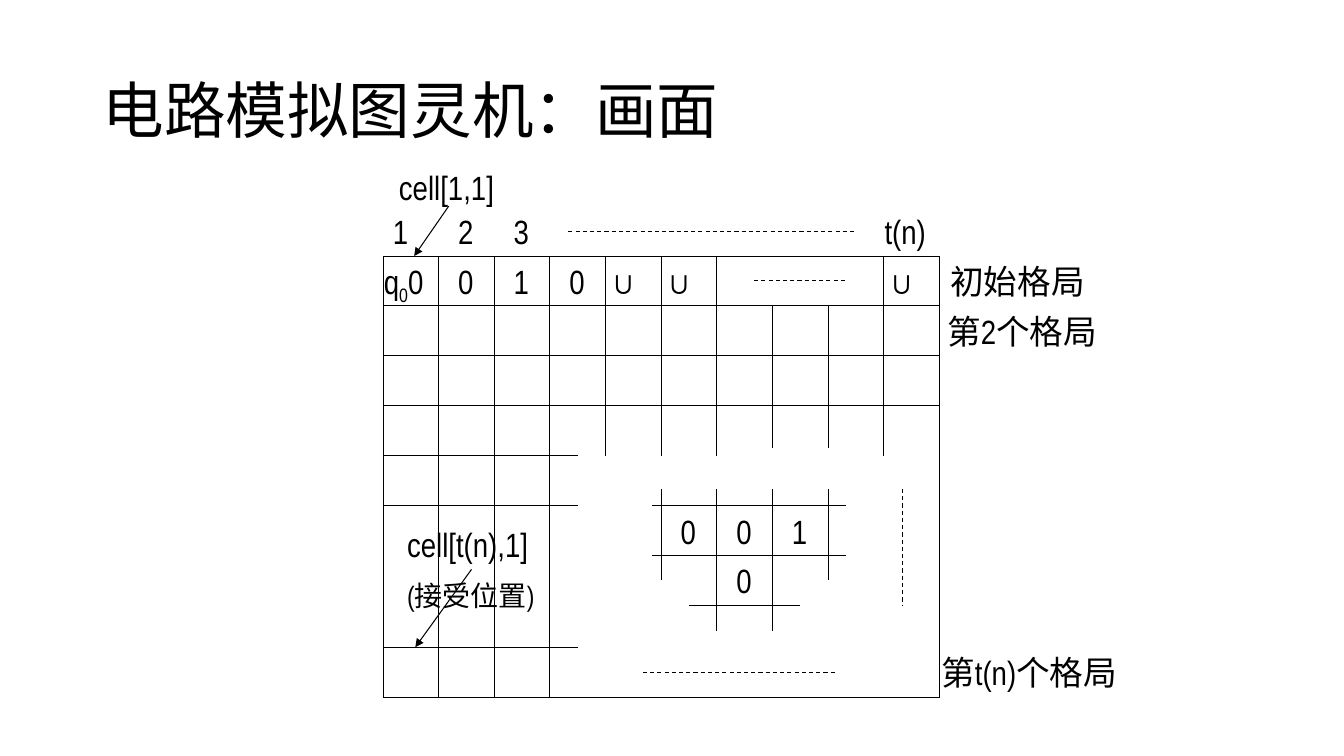
from lxml import etree
from pptx import Presentation
from pptx import util as u
from pptx.dml.color import RGBColor
from pptx.enum import dml, shapes, text
from pptx.oxml.ns import qn

LATIN, CHINESE = "Arial Narrow", "Noto Sans CJK SC"
INK = "000000"
GRID_LEFT, GRID_TOP = 273.6, 182.9
COLUMN, ROW = 39.74, 35.64
LAST_TOP, LAST_BOTTOM = 7.84, 8.85  # the final configuration, in row units
CELL_WIDTH, LABEL_HEIGHT, DIGIT_INDENT = 33.1, 36, 6.8


def colour(code):
    return RGBColor.from_string(code)


def grid_x(column):
    return GRID_LEFT + column * COLUMN


def grid_y(row):
    return GRID_TOP + row * ROW


def add_span(para, words, size, latin=LATIN, baseline=0):
    span = para.add_run()
    span.text = words
    for name, value in {"size": u.Pt(size), "name": latin}.items():
        setattr(span.font, name, value)
    span.font.color.rgb = colour(INK)
    properties = span.font._element
    etree.SubElement(properties, qn("a:ea")).set("typeface", CHINESE)
    if baseline:
        properties.set("baseline", str(baseline * 1000))


def add_box(page, left, top, width, height, anchor=text.MSO_ANCHOR.TOP):
    """Add an empty wrapping text box and return its first paragraph's frame."""
    box = page.shapes.add_textbox(*map(u.Pt, (left, top, width, height)))
    frame = box.text_frame
    settings = {"word_wrap": True, "auto_size": text.MSO_AUTO_SIZE.NONE,
                "vertical_anchor": anchor}
    for name, value in settings.items():
        setattr(frame, name, value)
    return frame


def add_label(page, words, left, top, width, height=LABEL_HEIGHT):
    frame = add_box(page, left, top, width, height)
    add_span(frame.paragraphs[0], words, 24)
    return frame


def add_cell(page, words, column, row, indent=0, width=CELL_WIDTH):
    add_label(page, words, grid_x(column) + indent, grid_y(row), width)


def add_line(page, start, end, dashed=False, arrow=False):
    """Draw a line between two (column, row) points of the grid."""
    ends = [u.Pt(place(value)) for point in (start, end)
            for place, value in zip((grid_x, grid_y), point)]
    line = page.shapes.add_connector(shapes.MSO_CONNECTOR.STRAIGHT, *ends)
    line.line.width = u.Pt(0.75)
    line.line.color.rgb = colour(INK)
    if dashed:
        line.line.dash_style = dml.MSO_LINE.DASH
    if arrow:
        tail = etree.SubElement(line.line._get_or_add_ln(), qn("a:tailEnd"))
        tail.set("type", "triangle")
    etree.SubElement(line._element.spPr, qn("a:effectLst"))


def add_title(page):
    frame = add_box(page, 66.2, 28.8, 828, 104.4, text.MSO_ANCHOR.MIDDLE)
    para = frame.paragraphs[0]
    para.line_spacing = 0.9
    add_span(para, "电路模拟图灵机：画面", 44, CHINESE)


def add_grid(page):
    verticals = [
        ((0, 1, 2, 3, 10), 0, LAST_BOTTOM),
        ((4, 5, 6, 9), 0, 4),
        ((7, 8), 1, 3.84),
        ((6, 7), 4.67, 7.51),
        ((5, 8), 4.67, 6.5),
    ]
    for columns, top, bottom in verticals:
        for column in columns:
            add_line(page, (column, top), (column, bottom))
    horizontals = [
        ((0, 1, 2, 3, LAST_BOTTOM), 0, 10),
        ((4, 5, LAST_TOP), 0, 3.5),
        ((5, 6), 4.84, 8.33),
        ((7,), 5.5, 7.5),
    ]
    for rows, left, right in horizontals:
        for row in rows:
            add_line(page, (left, row), (right, row))


def add_ellipses(page):
    for start, end in [((3.33, -0.5), (8.5, -0.5)),
                       ((6.67, 0.5), (8.33, 0.5)),
                       ((4.67, 8.34), (8.17, 8.34)),
                       ((9.33, 4.67), (9.33, 7))]:
        add_line(page, start, end, dashed=True)


def add_cells(page):
    digit_runs = [("23", 1, -1), ("010", 1, 0), ("001", 5, 5), ("0", 6, 6)]
    for digits, first, row in digit_runs:
        for column, digit in enumerate(digits, first):
            add_cell(page, digit, column, row, DIGIT_INDENT)
    for column in (4, 5, 9):
        add_cell(page, "∪", column, 0)
    add_cell(page, "1", 0, -1)
    add_cell(page, "t(n)", 9, -1, -6.5, 53.3)

    state = add_box(page, grid_x(0) - 6.5, grid_y(0), 59.8, LABEL_HEIGHT)
    for words, baseline in (("q", 0), ("0", -25), ("0", 0)):
        add_span(state.paragraphs[0], words, 24, baseline=baseline)


def add_annotations(page):
    add_label(page, "cell[1,1]", 277.9, 115.9, 105.8)
    accept = add_label(page, "cell[t(n),1]", 283.7, 370.8, 119.5, 71.3)
    para = accept.add_paragraph()
    para.space_before = u.Pt(10)
    add_span(para, "(接受位置)", 20)
    add_line(page, (1.18, -1), (0.56, 0), arrow=True)
    add_line(page, (1.59, 6.28), (0.58, LAST_TOP), arrow=True)
    for words, left, row, width in [("初始格局", 671.8, 0, 132.5),
                                    ("第2个格局", 669.6, 1, 152.6),
                                    ("第t(n)个格局", 665.3, LAST_TOP, 165.6)]:
        add_label(page, words, left, grid_y(row), width)


def main():
    deck = Presentation()
    deck.slide_width, deck.slide_height = u.Pt(960), u.Pt(540)
    page = deck.slides.add_slide(deck.slide_layouts[6])
    add_title(page)
    add_annotations(page)
    add_grid(page)
    add_ellipses(page)
    add_cells(page)
    deck.save("out.pptx")


if __name__ == "__main__":
    main()
